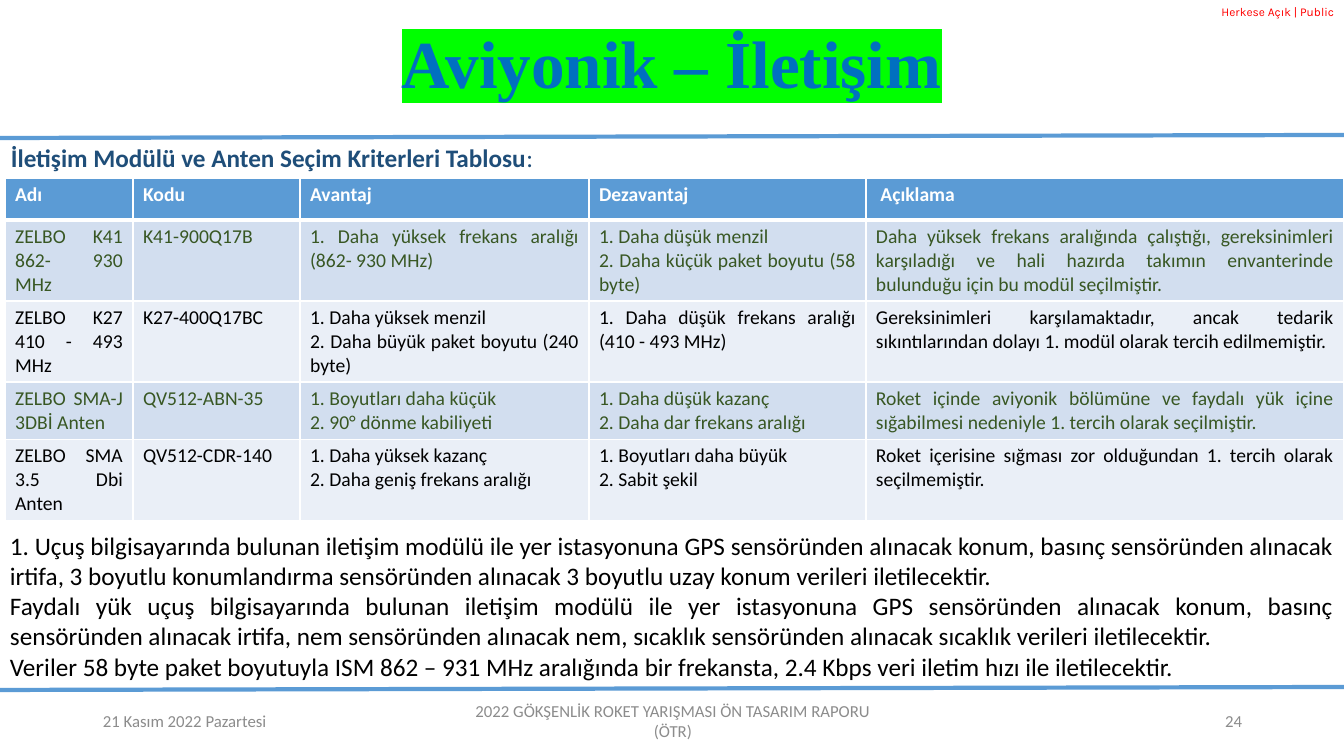
from lxml.etree import SubElement as Sub
from pptx import Presentation
from pptx.dml.color import RGBColor
from pptx.enum.shapes import MSO_CONNECTOR as Conn
from pptx.enum.text import MSO_ANCHOR as Anchor, PP_ALIGN as Align
from pptx.oxml import parse_xml
from pptx.oxml.ns import nsdecls, qn
from pptx.util import Pt

PX = 12192000 / 1344
BLUE, WHITE, BLACK, GREEN, GREY = "5B9BD5", "FFFFFF", "000000", "385723", "8C8C8C"

COLS = [128, 167, 289, 277, 478]
ROWS = [42, 81, 81, 57, 81]
CELLS = [
    ["Adı", "Kodu", "Avantaj", "Dezavantaj", " Açıklama"],
    ["ZELBO K41 862- 930 MHz", "K41-900Q17B",
     "1. Daha yüksek frekans aralığı (862- 930 MHz)",
     "1. Daha düşük menzil\n2. Daha küçük paket boyutu (58 byte)",
     "Daha yüksek frekans aralığında çalıştığı, gereksinimleri karşıladığı ve "
     "hali hazırda takımın envanterinde bulunduğu için bu modül seçilmiştir."],
    ["ZELBO K27 410 - 493 MHz", "K27-400Q17BC",
     "1. Daha yüksek menzil\n2. Daha büyük paket boyutu (240 byte)",
     "1. Daha düşük frekans aralığı (410 - 493 MHz)",
     "Gereksinimleri karşılamaktadır, ancak tedarik sıkıntılarından dolayı "
     "1. modül olarak tercih edilmemiştir."],
    ["ZELBO SMA-J 3DBİ Anten", "QV512-ABN-35",
     "1. Boyutları daha küçük\n2. 90° dönme kabiliyeti",
     "1. Daha düşük kazanç\n2. Daha dar frekans aralığı",
     "Roket içinde aviyonik bölümüne ve faydalı yük içine sığabilmesi "
     "nedeniyle 1. tercih olarak seçilmiştir."],
    ["ZELBO SMA 3.5 Dbi Anten", "QV512-CDR-140",
     "1. Daha yüksek kazanç\n2. Daha geniş frekans aralığı",
     "1. Boyutları daha büyük\n2. Sabit şekil",
     "Roket içerisine sığması zor olduğundan 1. tercih olarak seçilmemiştir."],
]
NOTES = (
    "1. Uçuş bilgisayarında bulunan iletişim modülü ile yer istasyonuna GPS "
    "sensöründen alınacak konum, basınç sensöründen alınacak irtifa, 3 boyutlu "
    "konumlandırma sensöründen alınacak 3 boyutlu uzay konum verileri iletilecektir.\n"
    "Faydalı yük uçuş bilgisayarında bulunan iletişim modülü ile yer istasyonuna "
    "GPS sensöründen alınacak konum, basınç sensöründen alınacak irtifa, nem "
    "sensöründen alınacak nem, sıcaklık sensöründen alınacak sıcaklık verileri "
    "iletilecektir.\n"
    "Veriler 58 byte paket boyutuyla ISM 862 – 931 MHz aralığında bir frekansta, "
    "2.4 Kbps veri iletim hızı ile iletilecektir."
)


def px(n):
    return round(n * PX)


def rgb(code):
    return RGBColor.from_string(code)


def style(frame, size, color, align, bold=False, face="Calibri"):
    for para in frame.paragraphs:
        para.alignment = align
        for run in para.runs:
            font = run.font
            font.size, font.bold, font.name = Pt(size), bold, face
            font.color.rgb = rgb(color)


def add_text(slide, box, text, size, color, align=Align.LEFT,
             anchor=Anchor.TOP, **look):
    frame = slide.shapes.add_textbox(*map(px, box)).text_frame
    frame.word_wrap = True
    frame.vertical_anchor = anchor
    frame.text = text
    style(frame, size, color, align, **look)
    return frame


def mark(run, color):
    """Highlight a run whose font colour is already set."""
    fill = run._r.rPr.find(qn("a:solidFill"))
    fill.addnext(parse_xml(
        f'<a:highlight {nsdecls("a")}><a:srgbClr val="{color}"/></a:highlight>'))


def add_rule(slide, top):
    """Draw a full-width rule that rises slightly to the right."""
    rule = slide.shapes.add_connector(
        Conn.STRAIGHT, 0, px(top), px(1344), px(top - 3))
    rule.line.color.rgb = rgb(BLUE)
    rule.line.width = Pt(3)
    Sub(rule.element.spPr, qn("a:effectLst"))


def edge(cell, widths):
    """Give a cell white borders; widths in points for L, R, T, B."""
    props = cell._tc.get_or_add_tcPr()
    for i, (side, width) in enumerate(zip("LRTB", widths)):
        props.insert(i, parse_xml(
            f'<a:ln{side} {nsdecls("a")} w="{Pt(width)}"><a:solidFill>'
            f'<a:srgbClr val="{WHITE}"/></a:solidFill></a:ln{side}>'))


def add_grid(slide, left, top):
    table = slide.shapes.add_table(
        len(ROWS), len(COLS), px(left), px(top), px(sum(COLS)), px(sum(ROWS))).table
    for col, width in zip(table.columns, COLS):
        col.width = px(width)
    for r, texts in enumerate(CELLS):
        table.rows[r].height = px(ROWS[r])
        if r == 0:
            fill, color = BLUE, WHITE
        else:
            fill, color = ("D2DEEF", GREEN) if r % 2 else ("EAEFF7", BLACK)
        for c, text in enumerate(texts):
            cell = table.cell(r, c)
            cell.text_frame.text = text
            style(cell.text_frame, 14, color, Align.JUSTIFY, bold=r == 0)
            cell.fill.solid()
            cell.fill.fore_color.rgb = rgb(fill)
            edge(cell, (1, 1, 3 if r == 1 else 1, 3 if r == 0 else 1))


def add_foot(slide, left, width, text, align):
    add_text(slide, (left, 701, width, 40), text, 12, GREY, align, Anchor.MIDDLE)


def main():
    deck = Presentation()
    deck.slide_width, deck.slide_height = px(1344), px(756)
    slide = deck.slides.add_slide(deck.slide_layouts[6])

    add_text(slide, (0, 0, 1344, 24), "Herkese Açık |\u00a0Public", 8.5, "FF0000",
             Align.RIGHT, face="Karla")
    for top in (138, 690):
        add_rule(slide, top)

    add_foot(slide, 950, 302, "24", Align.RIGHT)
    add_foot(slide, 93, 302, "21 Kasım 2022 Pazartesi", Align.LEFT)
    add_foot(slide, 446, 454, "2022 GÖKŞENLİK ROKET YARIŞMASI ÖN TASARIM RAPORU (ÖTR)",
             Align.CENTER)

    title = add_text(slide, (168, 25, 1008, 83), "Aviyonik – İletişim", 48, "0070C0",
                     Align.CENTER, Anchor.BOTTOM, bold=True, face="Times New Roman")
    title.paragraphs[0].line_spacing = 0.9
    mark(title.paragraphs[0].runs[0], "00FF00")

    add_text(slide, (0, 525, 1344, 163), NOTES, 18, BLACK, Align.JUSTIFY)
    add_grid(slide, 5, 178)

    head = add_text(slide, (1, 137, 556, 40),
                    "İletişim Modülü ve Anten Seçim Kriterleri Tablosu", 18, "1F4E79")
    head.paragraphs[0].add_run().text = ":"
    style(head, 18, "1F4E79", Align.LEFT)
    head.paragraphs[0].runs[0].font.bold = True

    deck.save("out.pptx")


if __name__ == "__main__":
    main()
